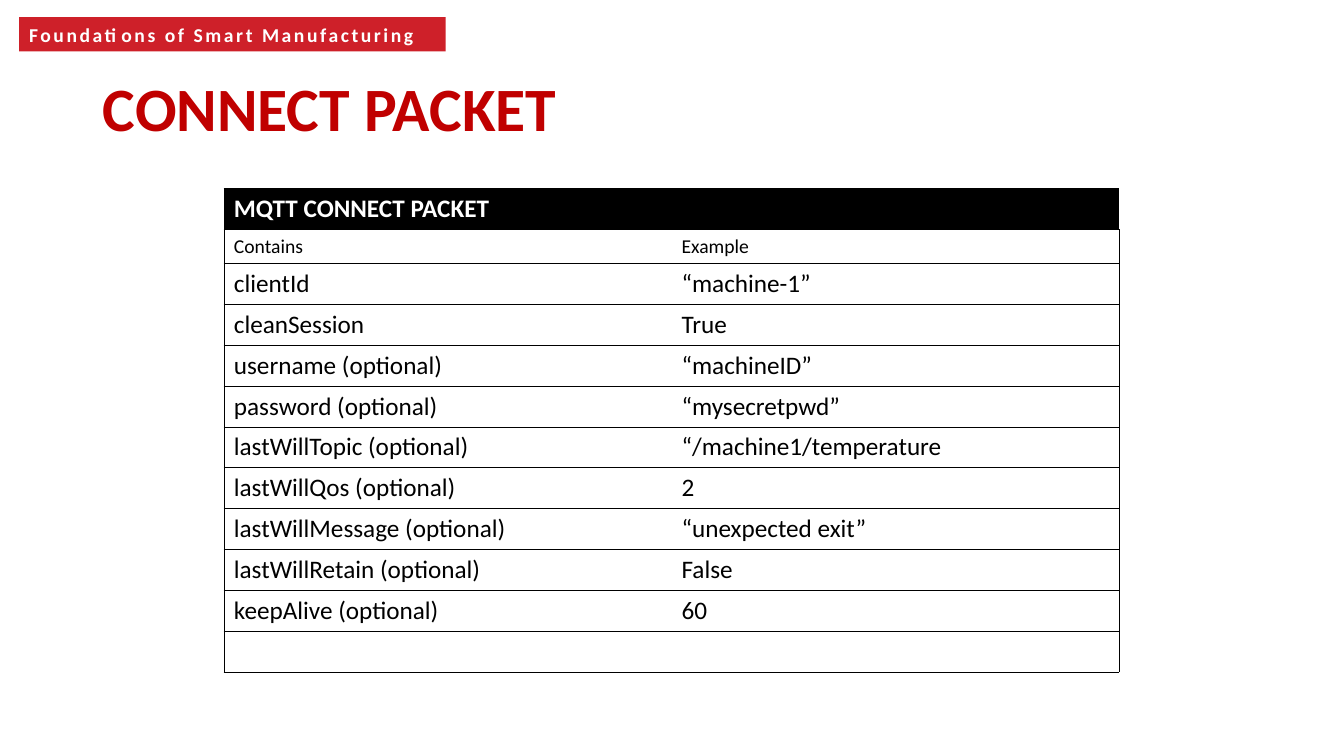
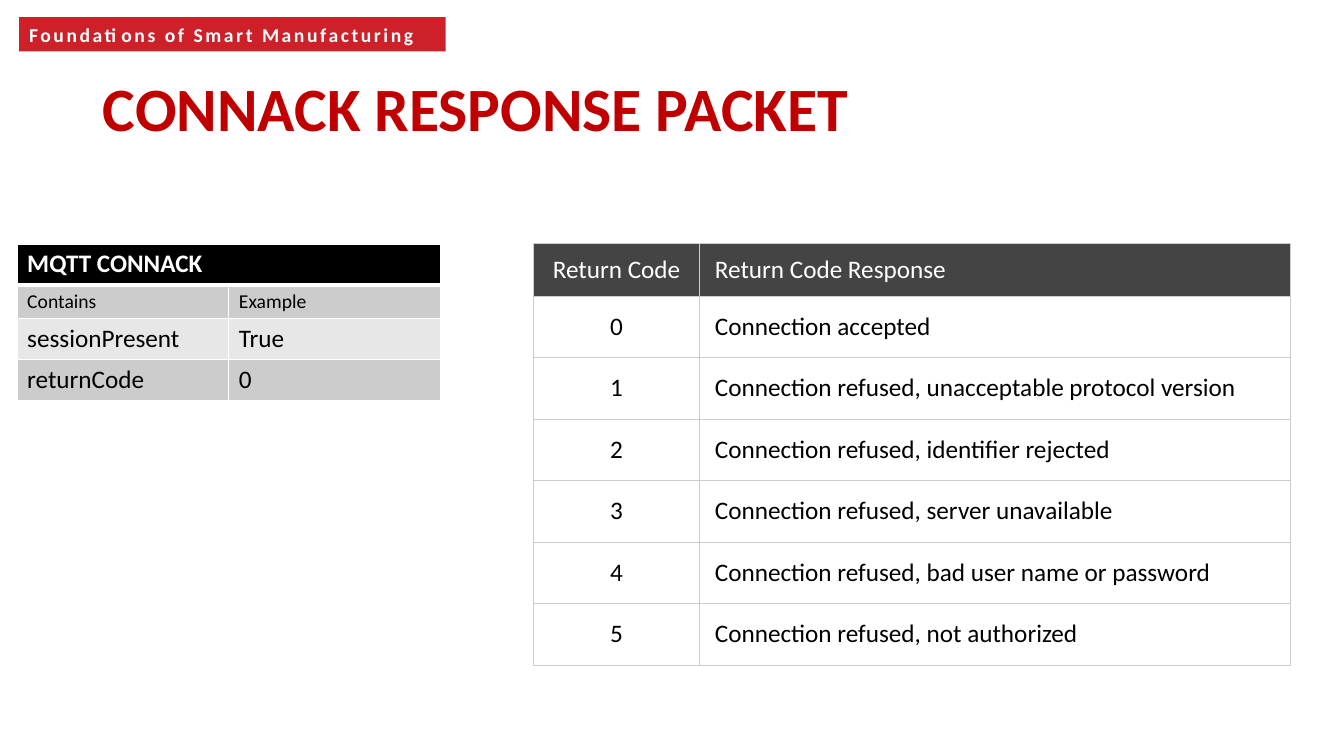
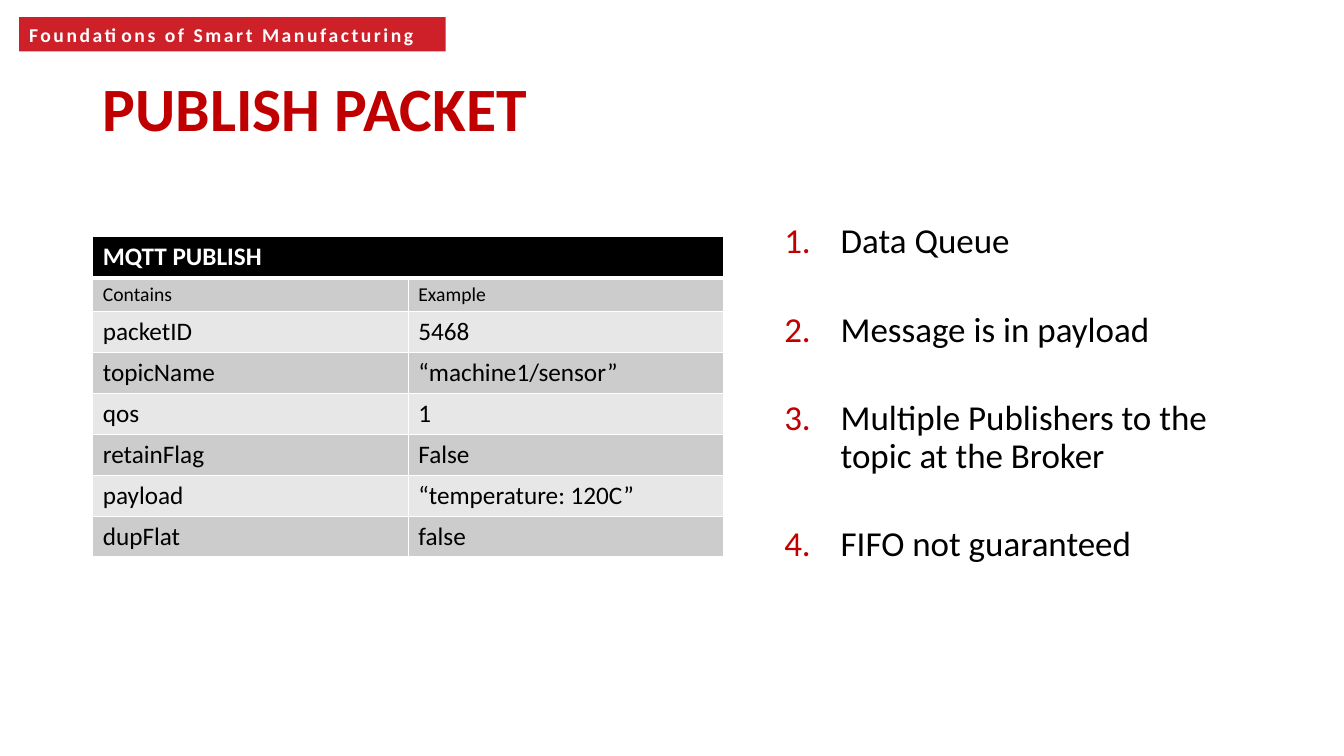
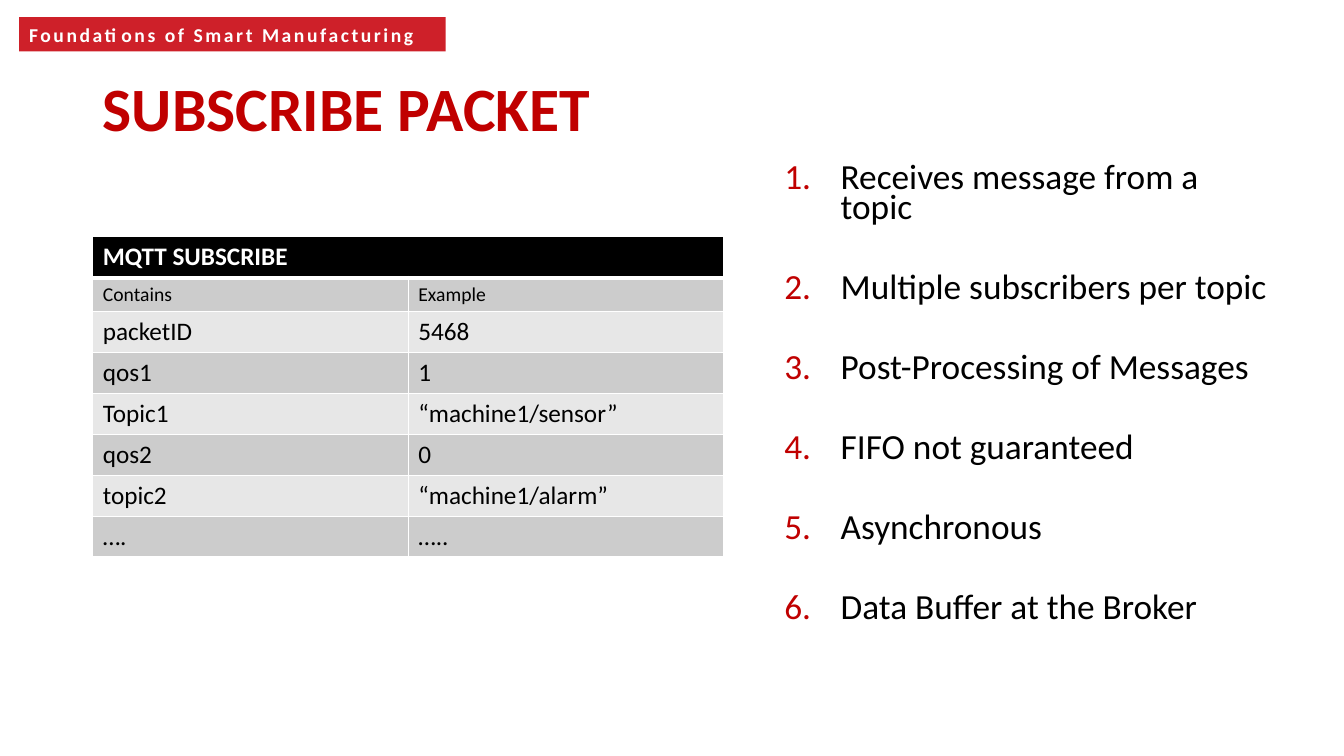
"""Build four slides on the MQTT connect, connack, publish and subscribe packets."""
from lxml import etree
from pptx import Presentation
from pptx.dml.color import RGBColor
from pptx.enum.shapes import MSO_SHAPE
from pptx.enum.text import MSO_ANCHOR, MSO_AUTO_SIZE, PP_ALIGN
from pptx.oxml.ns import qn
from pptx.util import Inches, Pt

RECTANGLE = MSO_SHAPE.RECTANGLE
TOP, MIDDLE = MSO_ANCHOR.TOP, MSO_ANCHOR.MIDDLE
LEFT, CENTER = PP_ALIGN.LEFT, PP_ALIGN.CENTER
NO_AUTOFIT = MSO_AUTO_SIZE.NONE

FONT = "Calibri"
BANNER_RED = RGBColor(0xCE, 0x20, 0x29)
TITLE_RED = RGBColor(0xC0, 0x00, 0x00)
BLACK = RGBColor(0x00, 0x00, 0x00)
WHITE = RGBColor(0xFF, 0xFF, 0xFF)
DARK_GRAY = RGBColor(0x44, 0x44, 0x44)
MID_GRAY = RGBColor(0xCC, 0xCC, 0xCC)
PALE_GRAY = RGBColor(0xE7, 0xE7, 0xE7)

COURSE = "Foundations of Smart Manufacturing"
FIELD_HEADINGS = ("Contains", "Example")

CONNECT_FIELDS = [
    ("clientId", "“machine-1”"),
    ("cleanSession", "True"),
    ("username (optional)", "“machineID”"),
    ("password (optional)", "“mysecretpwd”"),
    ("lastWillTopic (optional)", "“/machine1/temperature"),
    ("lastWillQos (optional)", "2"),
    ("lastWillMessage (optional)", "“unexpected exit”"),
    ("lastWillRetain (optional)", "False"),
    ("keepAlive (optional)", "60"),
    ("", ""),
]
CONNACK_FIELDS = [("sessionPresent", "True"), ("returnCode", "0")]
RETURN_CODES = [
    ("Return Code", "Return Code Response"),
    ("0", "Connection accepted"),
    ("1", "Connection refused, unacceptable protocol version"),
    ("2", "Connection refused, identifier rejected"),
    ("3", "Connection refused, server unavailable"),
    ("4", "Connection refused, bad user name or password"),
    ("5", "Connection refused, not authorized"),
]
PUBLISH_FIELDS = [
    ("packetID", "5468"),
    ("topicName", "“machine1/sensor”"),
    ("qos", "1"),
    ("retainFlag", "False"),
    ("payload", "“temperature: 120C”"),
    ("dupFlat", "false"),
]
PUBLISH_NOTES = [
    "Data Queue",
    "Message is in payload",
    "Multiple Publishers to the topic at the Broker",
    "FIFO not guaranteed",
]
SUBSCRIBE_FIELDS = [
    ("packetID", "5468"),
    ("qos1", "1"),
    ("Topic1", "“machine1/sensor”"),
    ("qos2", "0"),
    ("topic2", "“machine1/alarm”"),
    ("….", "….."),
]
SUBSCRIBE_NOTES = [
    "Receives message from a topic",
    "Multiple subscribers per topic",
    "Post-Processing of Messages",
    "FIFO not guaranteed",
    "Asynchronous",
    "Data Buffer at the Broker",
]


def add_run(paragraph, text, size, color=BLACK, bold=False):
    run = paragraph.add_run()
    run.text = text
    run.font.name = FONT
    run.font.size = Pt(size)
    run.font.bold = bold
    run.font.color.rgb = color
    return run


def add_banner(slide, layout):
    """Draw the course banner and hand it to the layout."""
    banner = slide.shapes.add_shape(
        RECTANGLE, Inches(0.19), Inches(0.17), Inches(4.23), Inches(0.34))
    banner.shadow.inherit = False
    banner.fill.solid()
    banner.fill.fore_color.rgb = BANNER_RED
    banner.line.fill.background()
    frame = banner.text_frame
    frame.word_wrap = True
    frame.vertical_anchor = MIDDLE
    frame.paragraphs[0].alignment = LEFT
    run = add_run(frame.paragraphs[0], COURSE, 14, WHITE, True)
    run.font._element.set("spc", "180")
    layout.shapes.element.append(banner._element)


def add_titled_slide(prs, layout, heading):
    slide = prs.slides.add_slide(layout)
    title = slide.shapes.title
    title.left, title.top = Inches(0.92), Inches(0.71)
    title.width, title.height = Inches(11.5), Inches(0.79)
    frame = title.text_frame
    frame.auto_size = NO_AUTOFIT
    frame.vertical_anchor = MIDDLE
    frame.paragraphs[0].alignment = LEFT
    frame.paragraphs[0].line_spacing = 0.9
    add_run(frame.paragraphs[0], heading, 44, TITLE_RED, True)
    return slide


def set_borders(cell, **edges):
    """Give each edge (L, R, T, B) a (color, points) line, or none."""
    properties = cell._tc.get_or_add_tcPr()
    for side in "LRTB":
        edge = edges[side]
        line = etree.SubElement(properties, qn(f"a:ln{side}"))
        if edge is None:
            etree.SubElement(line, qn("a:noFill"))
            continue
        color, points = edge
        line.set("w", str(Pt(points)))
        fill = etree.SubElement(line, qn("a:solidFill"))
        etree.SubElement(fill, qn("a:srgbClr")).set("val", str(color))


def fill_cell(cell, color):
    if color is None:
        cell.fill.background()
    else:
        cell.fill.solid()
        cell.fill.fore_color.rgb = color


def add_plain_table(slide, left, top, widths, heights):
    table = slide.shapes.add_table(
        len(heights), len(widths), Inches(left), Inches(top),
        Inches(sum(widths)), Inches(sum(heights))).table
    table.first_row = table.horz_banding = False
    for column, width in zip(table.columns, widths):
        column.width = Inches(width)
    for row, height in zip(table.rows, heights):
        row.height = Inches(height)
    return table


def add_packet_table(slide, left, top, column_width, name, fields, banded=True):
    """Add a black heading row, a row of column names and the packet's fields."""
    rows = [(name, ""), FIELD_HEADINGS, *fields]
    heights = [0.4, 0.33] + [0.4] * len(fields)
    table = add_plain_table(slide, left, top, [column_width] * 2, heights)
    thin = (WHITE, 1) if banded else (BLACK, 0.5)
    heading_rule = (WHITE, 3) if banded else thin
    inner = thin if banded else None
    for r, row in enumerate(rows):
        for c, text in enumerate(row):
            cell = table.cell(r, c)
            set_borders(cell, L=inner if c else thin, R=thin if c else inner,
                        T=heading_rule if r == 1 else thin,
                        B=heading_rule if r == 0 else thin)
            if r == 0:
                fill_cell(cell, BLACK)
            elif banded:
                fill_cell(cell, MID_GRAY if r % 2 else PALE_GRAY)
            else:
                fill_cell(cell, None)
            if text:
                add_run(cell.text_frame.paragraphs[0], text, 14 if r == 1 else 18,
                        BLACK if r else WHITE, r == 0)
    table.cell(0, 0).merge(table.cell(0, 1))


def add_return_code_table(slide):
    heights = [0.52] + [0.61] * (len(RETURN_CODES) - 1)
    table = add_plain_table(slide, 5.29, 2.42, [1.65, 5.86], heights)
    rule = (MID_GRAY, 0.75)
    for r, row in enumerate(RETURN_CODES):
        for c, text in enumerate(row):
            cell = table.cell(r, c)
            set_borders(cell, L=rule, R=rule, T=rule, B=rule)
            fill_cell(cell, WHITE if r else DARK_GRAY)
            cell.margin_left = cell.margin_right = Inches(0.15)
            cell.margin_top = cell.margin_bottom = Inches(0.15 if r else 0.1)
            cell.vertical_anchor = TOP if r else MIDDLE
            paragraph = cell.text_frame.paragraphs[0]
            paragraph.alignment = LEFT if c else CENTER
            add_run(paragraph, text, 18, BLACK if r else WHITE)


def add_numbered_notes(slide, top, height, notes, size, line_spacing):
    frame = slide.shapes.add_textbox(
        Inches(7.68), Inches(top), Inches(5.08), Inches(height)).text_frame
    frame.word_wrap = True
    for i, note in enumerate(notes):
        paragraph = frame.add_paragraph() if i else frame.paragraphs[0]
        properties = paragraph._p.get_or_add_pPr()
        properties.set("marL", str(Inches(0.56)))
        properties.set("indent", str(-Inches(0.56)))
        number_color = etree.SubElement(properties, qn("a:buClr"))
        etree.SubElement(number_color, qn("a:srgbClr")).set("val", str(TITLE_RED))
        etree.SubElement(properties, qn("a:buFont")).set("typeface", FONT)
        etree.SubElement(properties, qn("a:buAutoNum")).set("type", "arabicPeriod")
        paragraph.line_spacing = line_spacing
        paragraph.space_before = Pt(18 if i else 0)
        paragraph.space_after = Pt(18)
        add_run(paragraph, note, size)


def main():
    prs = Presentation()
    prs.slide_width, prs.slide_height = Inches(13.33), Inches(7.5)
    layout = prs.slide_layouts.get_by_name("Title Only")

    connect = add_titled_slide(prs, layout, "CONNECT PACKET")
    add_banner(connect, layout)
    add_packet_table(connect, 2.22, 1.87, 4.44, "MQTT CONNECT PACKET",
                     CONNECT_FIELDS, banded=False)

    connack = add_titled_slide(prs, layout, "CONNACK RESPONSE PACKET")
    add_packet_table(connack, 0.17, 2.42, 2.1, "MQTT CONNACK", CONNACK_FIELDS)
    add_return_code_table(connack)

    publish = add_titled_slide(prs, layout, "PUBLISH PACKET")
    add_packet_table(publish, 0.92, 2.35, 3.13, "MQTT PUBLISH", PUBLISH_FIELDS)
    add_numbered_notes(publish, 2.17, 4.58, PUBLISH_NOTES, 25, 0.9)

    subscribe = add_titled_slide(prs, layout, "SUBSCRIBE PACKET")
    add_packet_table(subscribe, 0.92, 2.35, 3.13, "MQTT SUBSCRIBE", SUBSCRIBE_FIELDS)
    add_numbered_notes(subscribe, 1.6, 5.26, SUBSCRIBE_NOTES, 25.2, 0.7)

    prs.save("out.pptx")


if __name__ == "__main__":
    main()
